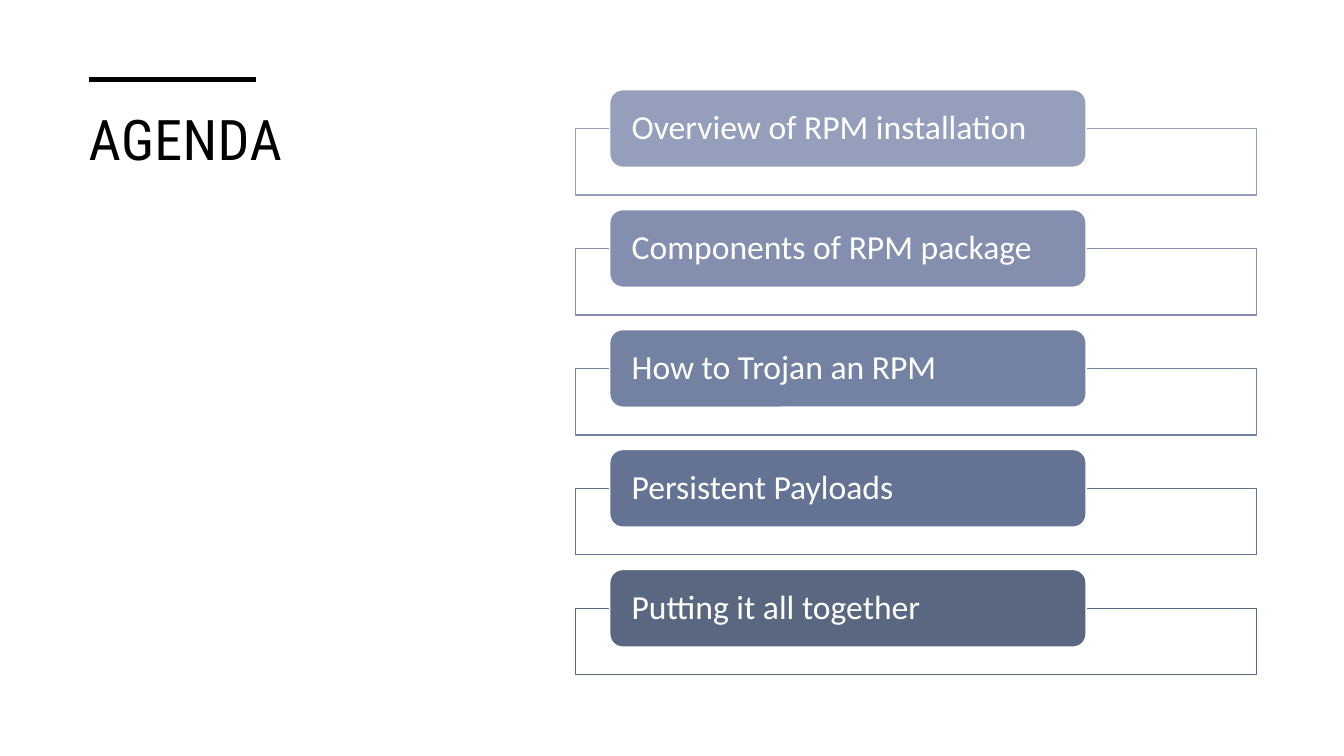
from dataclasses import dataclass

from lxml import etree
from pptx import Presentation, util as u
from pptx.dml.color import RGBColor
from pptx.enum import shapes, text
from pptx.oxml import ns

WIDTH, HEIGHT = 13.33, 7.5
FRAME_LEFT, FRAME_WIDTH, FRAME_HEIGHT = 5.71, 6.75, 0.66
PILL_INDENT = 0.05 * FRAME_WIDTH
PILL_WIDTH, PILL_HEIGHT = 0.7 * FRAME_WIDTH, 0.77
FIRST_TOP, ROW_PITCH = 0.89, 1.19
FRAME_DROP = PILL_HEIGHT / 2


@dataclass
class AgendaItem:
    label: str
    color: str


ITEMS = [
    AgendaItem("Overview of RPM installation", "959EBB"),
    AgendaItem("Components of RPM package", "848FAF"),
    AgendaItem("How to Trojan an RPM", "7381A2"),
    AgendaItem("Persistent Payloads", "647394"),
    AgendaItem("Putting it all together", "596781"),
]


def rgb(value: str) -> RGBColor:
    return RGBColor.from_string(value)


def write(shape, words: str, *, font: str, size: float, color: str, anchor,
          inset: tuple = (0.1, 0.05), line_spacing: float = 1.0, tracking: int = 0):
    """Put one left-aligned paragraph into a shape."""
    tf = shape.text_frame
    tf.word_wrap = True
    tf.auto_size = text.MSO_AUTO_SIZE.NONE
    tf.vertical_anchor = anchor
    tf.margin_left = tf.margin_right = u.Inches(inset[0])
    tf.margin_top = tf.margin_bottom = u.Inches(inset[1])
    p = tf.paragraphs[0]
    p.alignment = text.PP_ALIGN.LEFT
    p.line_spacing = line_spacing
    r = p.add_run()
    r.text = words
    r.font.name, r.font.size = font, u.Pt(size)
    r.font.color.rgb = rgb(color)
    if tracking:
        r._r.get_or_add_rPr().set("spc", str(tracking))


def add_box(s, kind, box: tuple, *, fill: str, line: str, opacity: int = 100):
    sp = s.shapes.add_shape(kind, *map(u.Inches, box))
    sp.shadow.inherit = False
    sp.fill.solid()
    sp.fill.fore_color.rgb = rgb(fill)
    sp.line.color.rgb = rgb(line)
    sp.line.width = u.Pt(1)
    if opacity < 100:
        clr = sp._element.spPr.find(ns.qn("a:solidFill"))[0]
        etree.SubElement(clr, ns.qn("a:alpha")).set("val", str(opacity * 1000))
    return sp


def add_agenda_item(s, item: AgendaItem, row: int) -> None:
    top = FIRST_TOP + row * ROW_PITCH
    add_box(s, shapes.MSO_SHAPE.RECTANGLE,
            (FRAME_LEFT, top + FRAME_DROP, FRAME_WIDTH, FRAME_HEIGHT),
            fill="FFFFFF", line=item.color, opacity=90)
    pill = add_box(s, shapes.MSO_SHAPE.ROUNDED_RECTANGLE,
                   (FRAME_LEFT + PILL_INDENT, top, PILL_WIDTH, PILL_HEIGHT),
                   fill=item.color, line="FFFFFF")
    write(pill, item.label, font="Calibri", size=24, color="FFFFFF",
          anchor=text.MSO_ANCHOR.MIDDLE, inset=(0.18, 0), line_spacing=0.9)


prs = Presentation()
prs.slide_width, prs.slide_height = u.Inches(WIDTH), u.Inches(HEIGHT)
s = prs.slides.add_slide(prs.slide_layouts[5])

# Title
title = s.shapes.title
title.left, title.top = u.Inches(0.76), u.Inches(0.99)
title.width, title.height = u.Inches(4.28), u.Inches(4.35)
write(title, "AGENDA", font="Roboto Condensed", size=40, color="000000",
      anchor=text.MSO_ANCHOR.TOP, inset=(0.12, 0.05), tracking=30)

# Accent rule above the title
rule = s.shapes.add_connector(
    shapes.MSO_CONNECTOR.STRAIGHT,
    *map(u.Inches, (0.88, 0.79, 2.54, 0.79)))
rule.line.color.rgb = rgb("000000")
rule.line.width = u.Pt(3.5)
etree.SubElement(rule._element.spPr, ns.qn("a:effectLst"))

# Agenda list
for row, item in enumerate(ITEMS):
    add_agenda_item(s, item, row)

prs.save("out.pptx")
